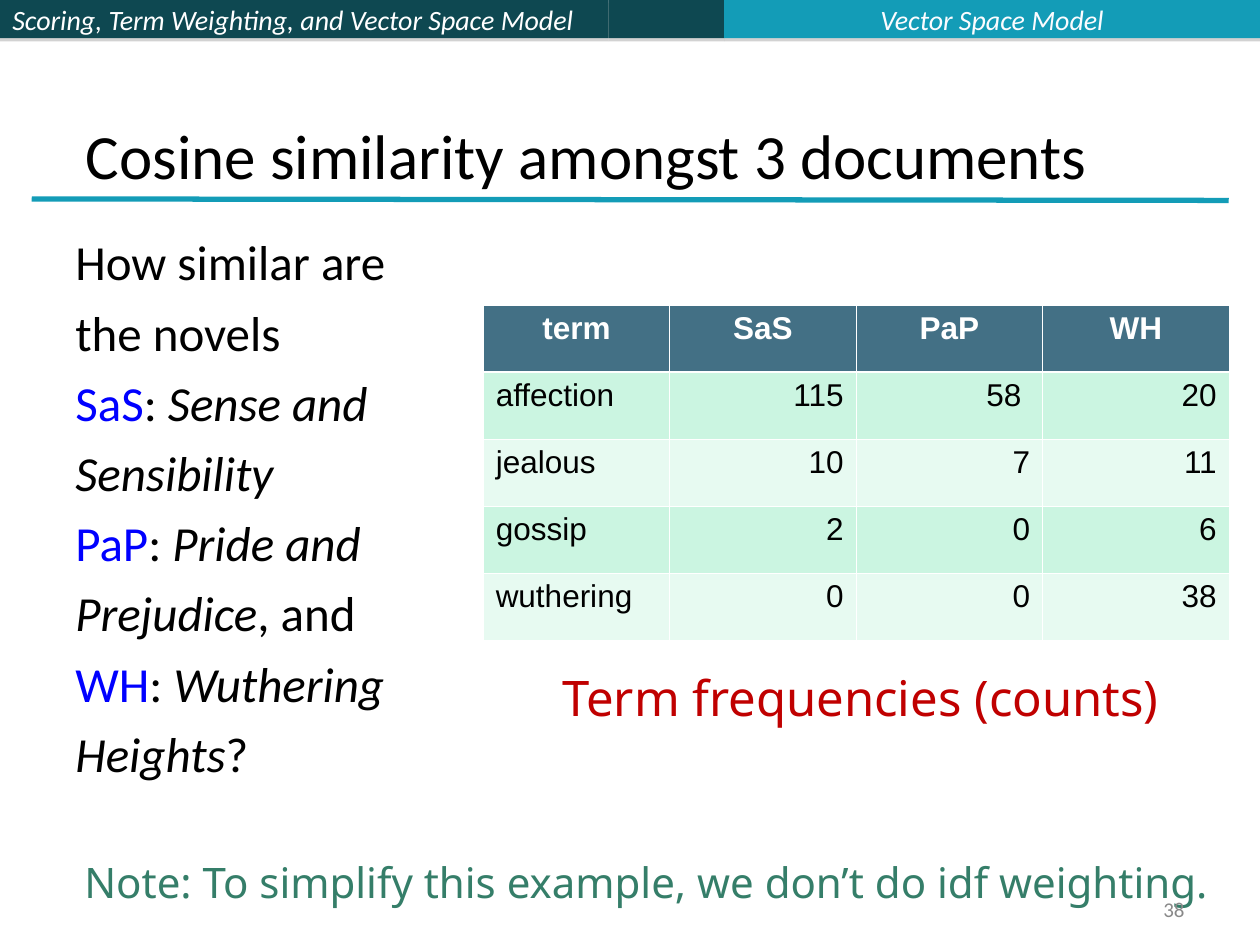
import pptx
import pptx.dml.color
import pptx.enum.shapes
import pptx.enum.text
import pptx.oxml
import pptx.oxml.ns
import pptx.util
from pptx.util import Cm, Pt

ALIGN = pptx.enum.text.PP_ALIGN
ANCHOR = pptx.enum.text.MSO_ANCHOR
DRAWING_NS = pptx.oxml.ns.nsdecls("a")


def rgb(hex_color):
    return pptx.dml.color.RGBColor.from_string(hex_color)


def write_text(frame, paragraphs, size, font="Calibri", align=ALIGN.LEFT, bold=False, space_before=0):
    """Fill a text frame; each paragraph is a list of (text, colour, italic) runs."""
    for number, runs in enumerate(paragraphs):
        paragraph = frame.add_paragraph() if number else frame.paragraphs[0]
        paragraph.alignment = align
        paragraph.space_before = Pt(space_before)
        for text, color, italic in runs:
            run = paragraph.add_run()
            run.text = text
            run.font.name = font
            run.font.size = Pt(size)
            run.font.bold = bold
            run.font.italic = italic
            run.font.color.rgb = rgb(color)


deck = pptx.Presentation()
deck.slide_width, deck.slide_height = Cm(25.4), Cm(19.05)
slide = deck.slides.add_slide(deck.slide_layouts[6])

# Header bands: left, width, colour, heading
bands = [
    (0, 12.27, "0E4851", "Scoring, Term Weighting, and Vector Space Model"),
    (12.27, 2.33, "0E4851", ""),
    (14.6, 10.8, "139CB7", ""),
]
for left, width, color, heading in bands:
    band = slide.shapes.add_shape(
        pptx.enum.shapes.MSO_SHAPE.RECTANGLE, Cm(left), 0, Cm(width), Cm(0.77))
    band.fill.solid()
    band.fill.fore_color.rgb = rgb(color)
    band.line.fill.background()
    band.shadow.inherit = False
    effects = band.element.spPr.find(pptx.oxml.ns.qn("a:effectLst"))
    effects.append(pptx.oxml.parse_xml(
        f'<a:outerShdw {DRAWING_NS} blurRad="0" dist="{Pt(1.8)}" dir="5400000">'
        '<a:srgbClr val="808080"><a:alpha val="35000"/></a:srgbClr></a:outerShdw>'))
    if heading:
        band.text_frame.word_wrap = True
        band.text_frame.vertical_anchor = ANCHOR.MIDDLE
        write_text(band.text_frame, [[(heading, "FFFFFF", True)]], 16)

title_rule = slide.shapes.add_connector(
    pptx.enum.shapes.MSO_CONNECTOR.STRAIGHT, Cm(0.64), Cm(4.01), Cm(24.77), Cm(4.04))
title_rule.line.color.rgb = rgb("139CB7")
title_rule.line.width = Pt(3)
title_rule.element.spPr.append(pptx.oxml.parse_xml(f"<a:effectLst {DRAWING_NS}/>"))

# Term counts
counts = [
    ("term", "SaS", "PaP", "WH"),
    ("affection", "115", "58 ", "20"),
    ("jealous", "10", "7", "11"),
    ("gossip", "2", "0", "6"),
    ("wuthering", "0", "0", "38"),
]
count_table = slide.shapes.add_table(
    len(counts), len(counts[0]), Cm(9.74), Cm(6.15), Cm(15.04), Cm(6.75)).table
for row_number, row in enumerate(counts):
    is_header = row_number == 0
    for column_number, value in enumerate(row):
        cell = count_table.cell(row_number, column_number)
        properties = cell._tc.get_or_add_tcPr()
        for side in "LRTB":
            is_heavy = (row_number, side) in [(0, "B"), (1, "T")]
            properties.append(pptx.oxml.parse_xml(
                f'<a:ln{side} {DRAWING_NS} w="{Pt(1.47 if is_heavy else 0.45)}"><a:solidFill>'
                f'<a:srgbClr val="FFFFFF"/></a:solidFill></a:ln{side}>'))
        cell.fill.solid()
        cell.fill.fore_color.rgb = rgb(
            "437085" if is_header else "CBF5E1" if row_number % 2 else "E7FAF1")
        align = ALIGN.CENTER if is_header else ALIGN.RIGHT if column_number else ALIGN.LEFT
        write_text(cell.text_frame, [[(value, "FFFFFF" if is_header else "000000", False)]],
                   18, "Arial", align, bold=is_header)

BLACK, BLUE = "000000", "0000FF"
novels = [
    [("How similar are", BLACK, False)],
    [("the novels", BLACK, False)],
    [("SaS", BLUE, False), (": ", BLACK, False), ("Sense and", BLACK, True)],
    [("Sensibility", BLACK, True)],
    [("PaP", BLUE, False), (": ", BLACK, False), ("Pride and", BLACK, True)],
    [("Prejudice", BLACK, True), (", and", BLACK, False)],
    [("WH", BLUE, False), (": ", BLACK, False), ("Wuthering", BLACK, True)],
    [("Heights", BLACK, True), ("?", BLACK, False)],
]
title = [[("Cosine similarity amongst 3 documents", BLACK, False)]]
caption = [[("Term frequencies (counts)", "C00000", False)]]
note = [[("Note: To simplify this example, we don’t do idf weighting.", "357E69", False)]]
section = [[("Vector Space Model", "FBFCFF", True)]]
page_number = [[("38", "898989", False)]]

# Left, top, width, height, anchor, wrap, paragraphs, text format
texts = [
    (1.48, 0.77, 23.92, 3.23, ANCHOR.BOTTOM, True, title, {"size": 36}),
    (1.27, 4.55, 8.36, 13.03, ANCHOR.TOP, True, novels, {"size": 28, "space_before": 6.5}),
    (11.09, 13.34, 12.6, 1.45, ANCHOR.TOP, False, caption, {"size": 28, "font": "Noto Sans"}),
    (1.45, 17.15, 23.24, 1.28, ANCHOR.TOP, False, note, {"size": 24, "font": "Noto Sans"}),
    (14.6, -0.09, 10.8, 0.94, ANCHOR.MIDDLE, True, section, {"size": 16, "align": ALIGN.CENTER}),
    (18.2, 17.99, 5.93, 0.68, ANCHOR.MIDDLE, True, page_number, {"size": 12, "align": ALIGN.RIGHT}),
]
for left, top, width, height, anchor, wrap, paragraphs, text_format in texts:
    frame = slide.shapes.add_textbox(Cm(left), Cm(top), Cm(width), Cm(height)).text_frame
    frame.word_wrap = wrap
    frame.vertical_anchor = anchor
    write_text(frame, paragraphs, **text_format)

deck.save("out.pptx")
